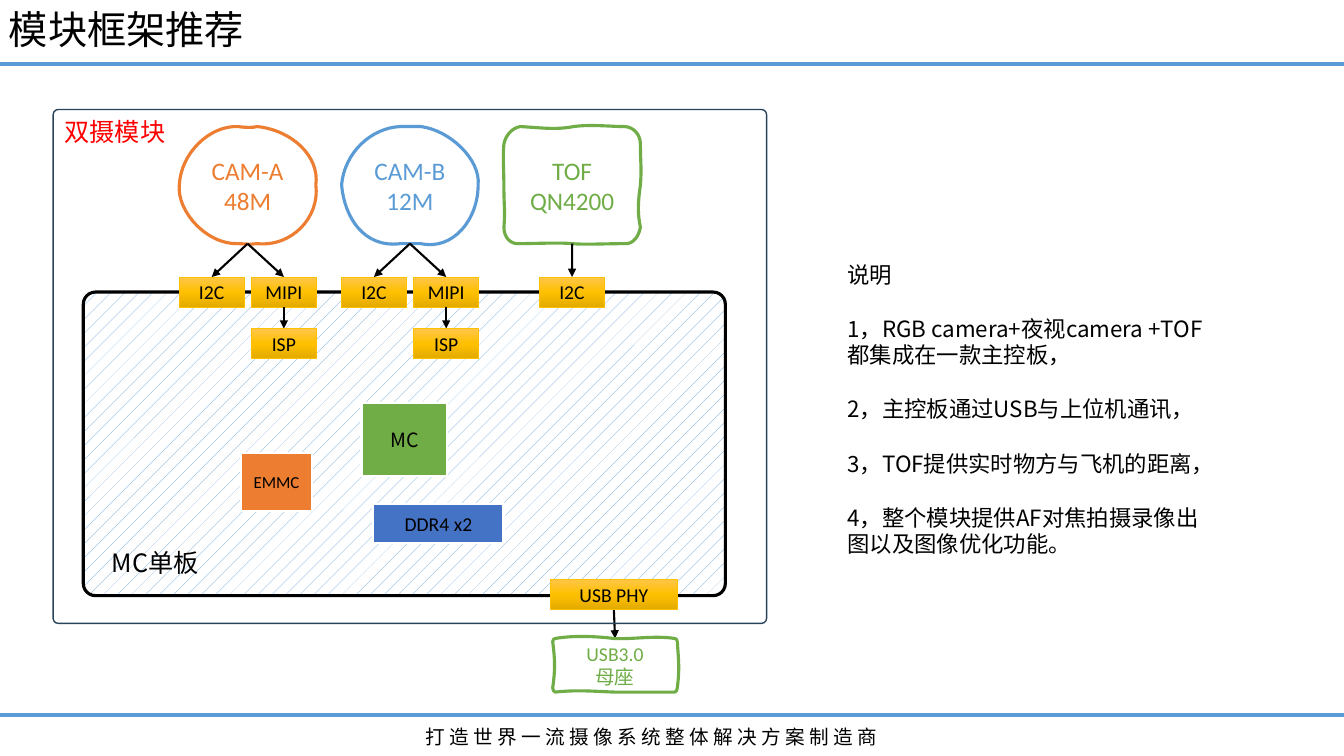
from copy import deepcopy
from dataclasses import dataclass

from pptx import Presentation
from pptx import util as u
from pptx.dml.color import RGBColor
from pptx.enum import dml, shapes, text
from pptx.oxml.ns import qn
from lxml import etree


@dataclass(frozen=True)
class Theme:
    """Colours, fonts and type sizes of the deck."""
    ink: str = "000000"
    paper: str = "FFFFFF"
    blue: str = "5B9BD5"
    navy: str = "4472C4"
    orange: str = "ED7D31"
    green: str = "70AD47"
    red: str = "FF0000"
    amber: str = "FFC000"
    frame: str = "28445D"
    amber_stops: tuple = ("FFC64B", "FFC000", "E3AB00")
    latin: str = "Calibri"
    cjk: str = "Noto Sans CJK SC"
    title: int = 28
    label: int = 18
    note: int = 16
    chip: int = 14
    small: int = 12


@dataclass(frozen=True)
class Box:
    """A rectangle in centimetres."""
    x: float
    y: float
    w: float
    h: float

    def inner(self, dx, dy, w, h):
        """Return a box offset from this one's top left corner."""
        return Box(self.x + dx, self.y + dy, w, h)

    def emu(self):
        """Return left, top, width and height as lengths."""
        return [u.Cm(v) for v in (self.x, self.y, self.w, self.h)]

    def top(self):
        """Return the middle of the top edge."""
        return self.x + self.w / 2, self.y

    def bottom(self):
        """Return the middle of the bottom edge."""
        return self.x + self.w / 2, self.y + self.h


T = Theme()
SHAPE = shapes.MSO_SHAPE
CENTER, LEFT = text.PP_ALIGN.CENTER, text.PP_ALIGN.LEFT
MIDDLE, TOP = text.MSO_ANCHOR.MIDDLE, text.MSO_ANCHOR.TOP

ROUND_A = [(0, 50), (1, 23, 22, -1, 43, 0), (49, 1, 54, 1, 57, 0),
           (82, 3, 103, 25, 100, 50), (103, 78, 82, 103, 57, 100),
           (52, 101, 46, 100, 43, 100), (20, 101, -2, 72, 0, 50)]
ROUND_B = [(0, 50), (2, 22, 22, 1, 43, 0), (48, 0, 52, 0, 58, 0),
           (79, 3, 102, 28, 100, 50), (100, 79, 82, 106, 58, 100),
           (52, 100, 47, 100, 43, 100), (16, 104, 2, 77, 0, 50)]
SQUARE = [(0, 15), (1, 8, 6, 1, 12, 0), (27, 1, 38, 3, 51, 0),
          (64, -2, 78, 0, 88, 0), (95, 0, 100, 7, 100, 15),
          (100, 32, 101, 34, 100, 50), (98, 66, 98, 75, 100, 86),
          (99, 93, 95, 101, 88, 100), (77, 100, 58, 101, 50, 100),
          (41, 99, 20, 100, 12, 100), (5, 101, 0, 95, 0, 86),
          (1, 72, 0, 67, 0, 53), (0, 37, -1, 24, 0, 15)]
SOCKET = [(0, 6), (0, 2, 1, 0, 2, 0), (16, -6, 36, -4, 49, 0),
          (63, 2, 82, -6, 98, 0), (99, 0, 100, 2, 100, 6),
          (101, 42, 102, 55, 100, 92), (100, 98, 99, 98, 98, 100),
          (85, 100, 68, 100, 49, 100), (29, 98, 19, 96, 2, 100),
          (1, 100, 0, 96, 0, 92), (2, 58, 2, 43, 0, 6)]


def write(sp, content, size, color=T.ink, font=T.latin, align=CENTER, anchor=MIDDLE,
          wrap=True, gap=0, spacing=None):
    """Fill a shape with text, one paragraph a line."""
    tf = sp.text_frame
    tf.text = content
    tf.word_wrap = wrap
    tf.vertical_anchor = anchor
    for i, p in enumerate(tf.paragraphs):
        p.alignment = align
        p.line_spacing = spacing
        p.space_before = u.Pt(gap if i else 0)
        for r in p.runs:
            r.font.size = u.Pt(size)
            r.font.name = font
            r.font.color.rgb = RGBColor.from_string(color)
            etree.SubElement(r.font._element, qn("a:ea")).set("typeface", T.cjk)


def outline(sp, color, width):
    """Give a shape a plain line and no shadow."""
    sp.shadow.inherit = False
    sp.line.color.rgb = RGBColor.from_string(color)
    sp.line.width = u.Pt(width)


def block(s, box, fill=None, line=T.paper, width=1.5, kind=SHAPE.RECTANGLE):
    """Add a preset shape with a solid fill or none."""
    sp = s.shapes.add_shape(kind, *box.emu())
    outline(sp, line, width)
    if fill:
        sp.fill.solid()
        sp.fill.fore_color.rgb = RGBColor.from_string(fill)
    else:
        sp.fill.background()
    return sp


def interface(s, box, name):
    """Add an amber interface block with a vertical gradient."""
    sp = block(s, box, line=T.amber, width=0.5)
    sp.fill.gradient()
    sp.fill.gradient_angle = 270
    first = sp._element.spPr.find(".//" + qn("a:gs"))
    first.addnext(deepcopy(first))
    for i, (stop, color) in enumerate(zip(sp.fill.gradient_stops, T.amber_stops)):
        stop.position = i / 2
        stop.color.rgb = RGBColor.from_string(color)
    write(sp, name, T.chip)


def sketch(s, box, curves, content, size, color):
    """Add a hand-drawn outline from Bezier curves in percent of the box."""
    def place(px, py):
        return u.Cm(box.x + box.w * px / 100), u.Cm(box.y + box.h * py / 100)

    builder = s.shapes.build_freeform(*place(*curves[0]))
    builder.add_line_segments([place(*c[-2:]) for c in curves[1:]], close=True)
    sp = builder.convert_to_shape()
    segments = list(sp._element.spPr.iter(qn("a:lnTo")))
    for segment, c in zip(segments, curves[1:]):
        bezier = etree.Element(qn("a:cubicBezTo"))
        for px, py in zip(c[::2], c[1::2]):
            x, y = place(px, py)
            pt = etree.SubElement(bezier, qn("a:pt"))
            pt.set("x", str(x - sp.left))
            pt.set("y", str(y - sp.top))
        segment.getparent().replace(segment, bezier)
    sp.fill.background()
    outline(sp, color, 2.25)
    write(sp, content, size, color)


def connect(s, start, end, color=T.ink, width=1.5, arrow=True):
    """Add a straight line, with an arrowhead if wanted."""
    ends = [u.Cm(v) for v in (*start, *end)]
    cx = s.shapes.add_connector(shapes.MSO_CONNECTOR.STRAIGHT, *ends)
    cx.line.color.rgb = RGBColor.from_string(color)
    cx.line.width = u.Pt(width)
    if arrow:
        etree.SubElement(cx.line._get_or_add_ln(), qn("a:tailEnd")).set("type", "triangle")
    etree.SubElement(cx._element.spPr, qn("a:effectLst"))


def label(s, box, content, size, **style):
    """Add a left-aligned text box."""
    write(s.shapes.add_textbox(*box.emu()), content, size, font=T.cjk, align=LEFT, anchor=TOP, **style)


def page(s, box):
    """Set the title, the two rules and the footer line."""
    title = s.shapes.title
    title.left, title.top, title.width, title.height = box.inner(-0.03, 0, 29.21, 1.6).emu()
    write(title, "模块框架推荐", T.title, font=T.cjk, align=LEFT, spacing=0.9)
    title.text_frame.auto_size = text.MSO_AUTO_SIZE.NONE
    for y in (1.62, 18.01):
        connect(s, (box.x, y), (box.x + box.w, y), T.blue, 3, arrow=False)
    label(s, box.inner(10.47, 18.14, 14.48, 0.86),
          "打 造 世 界 一 流 摄 像 系 统 整 体 解 决 方 案 制 造 商", T.chip, wrap=False)


def sensor(s, box, curves, content, color, pins):
    """Draw a sensor with its interface pins below; MIPI feeds an ISP."""
    sketch(s, box, curves, content, T.label, color)
    for name, dx in pins:
        pin = box.inner(dx, 3.79, 1.63, 0.76)
        connect(s, box.bottom(), pin.top())
        interface(s, pin, name)
        if name == "MIPI":
            isp = pin.inner(0, 1.3, pin.w, pin.h)
            connect(s, pin.bottom(), isp.top())
            interface(s, isp, "ISP")


def board(s, box):
    """Draw the main board, its chips and the USB exit."""
    sp = block(s, box, line=T.ink, width=2.25, kind=SHAPE.ROUNDED_RECTANGLE)
    sp.adjustments[0] = 0.04
    sp.fill.patterned()
    sp.fill.pattern = dml.MSO_PATTERN.PERCENT_5
    sp.fill.fore_color.rgb = RGBColor.from_string(T.blue)
    sp.fill.back_color.rgb = RGBColor.from_string(T.paper)
    label(s, box.inner(0.47, 6.3, 4.57, 1.02), "MC单板", T.label)
    chips = [("MC", box.inner(7.01, 2.79, 2.16, 1.85), T.green, T.chip, T.cjk),
             ("DDR4 x2", box.inner(7.31, 5.35, 3.28, 0.97), T.navy, T.chip, T.latin),
             ("EMMC", box.inner(3.98, 4.05, 1.78, 1.47), T.orange, T.small, T.latin)]
    for name, place, fill, size, font in chips:
        write(block(s, place, fill), name, size, font=font)
    phy = box.inner(11.78, 7.23, 3.18, 0.77)
    plug = box.inner(11.83, 8.73, 3.14, 1.35)
    connect(s, phy.bottom(), plug.top())
    interface(s, phy, "USB PHY")
    sketch(s, plug, SOCKET, "USB3.0\n母座", T.chip, T.green)


def module(s, box):
    """Draw the dual-camera module inside its frame."""
    board(s, box.inner(0.76, 4.6, 16.18, 7.65))
    camera_pins = [("I2C", 0), ("MIPI", 1.82)]
    sensors = [(ROUND_A, "CAM-A\n48M", T.orange, camera_pins),
               (ROUND_B, "CAM-B\n12M", T.blue, camera_pins),
               (SQUARE, "TOF\nQN4200", T.green, [("I2C", 0.9)])]
    for i, parts in enumerate(sensors):
        sensor(s, box.inner(3.18 + 4.09 * i, 0.43, 3.44, 2.95), *parts)
    frame = block(s, box, line=T.frame, width=1, kind=SHAPE.ROUNDED_RECTANGLE)
    frame.adjustments[0] = 0.01
    write(frame, "双摄模块", T.label, T.red, T.cjk, LEFT, TOP)


def notes(s, box):
    """Write the explanation column."""
    lines = ["说明",
             "1，RGB camera+夜视camera +TOF都集成在一款主控板，",
             "2，主控板通过USB与上位机通讯，",
             "3，TOF提供实时物方与飞机的距离，",
             "4，整个模块提供AF对焦拍摄录像出图以及图像优化功能。"]
    label(s, box, "\n".join(lines), T.note, gap=19.8, spacing=0.98)


def main():
    """Build and save the slide."""
    prs = Presentation()
    prs.slide_width, prs.slide_height = u.Cm(33.87), u.Cm(19.05)
    s = prs.slides.add_slide(prs.slide_layouts[5])
    page(s, Box(0, 0, 33.87, 19.05))
    module(s, Box(1.34, 2.76, 17.98, 12.95))
    notes(s, Box(21.11, 6.49, 9.85, 7.77))
    prs.save("out.pptx")


if __name__ == "__main__":
    main()
